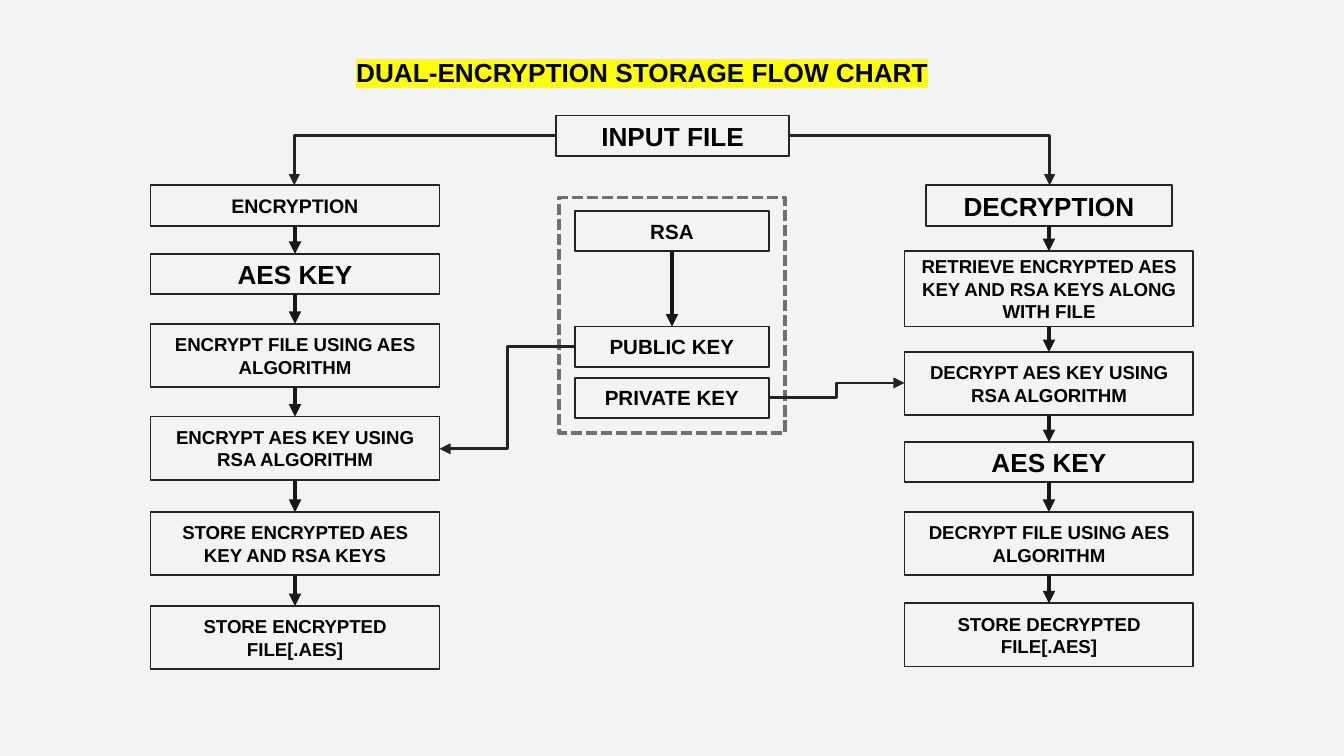
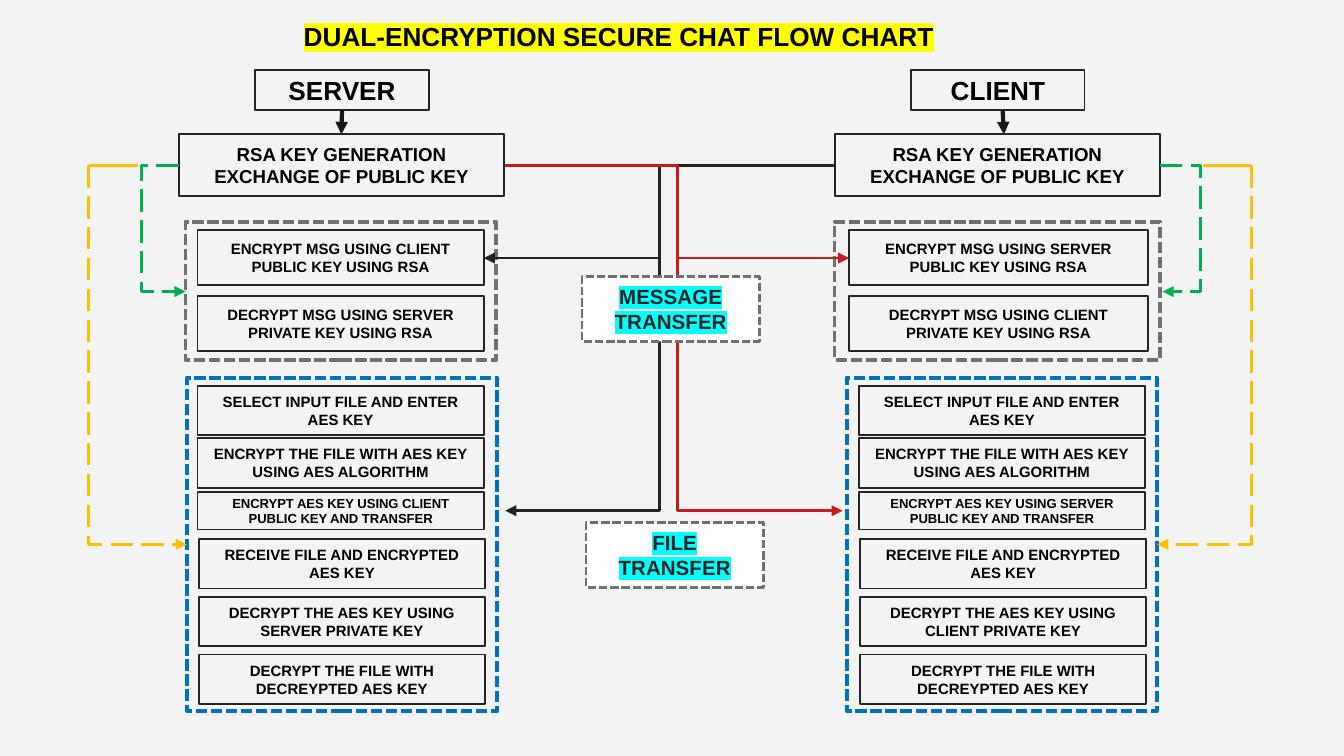
"""Build two flow charts on dual encryption: file storage and secure chat."""
from dataclasses import dataclass
from typing import Optional

from lxml import etree
from pptx import Presentation
from pptx import util as u
from pptx.dml.color import RGBColor
from pptx.enum import dml, shapes, text
from pptx.oxml.ns import qn

FONT = "Arial"
PAPER = RGBColor(0xF3, 0xF3, 0xF3)
WHITE = RGBColor(0xFF, 0xFF, 0xFF)
BLACK = RGBColor(0x00, 0x00, 0x00)
EDGE = RGBColor(0x24, 0x24, 0x24)
ARROW = RGBColor(0x18, 0x18, 0x18)
INK = RGBColor(0x23, 0x23, 0x23)
GREY = RGBColor(0x70, 0x70, 0x70)
BLUE = RGBColor(0x00, 0x70, 0xC0)
RED = RGBColor(0xC5, 0x1D, 0x1D)
GREEN = RGBColor(0x00, 0xB0, 0x50)
GOLD = RGBColor(0xFF, 0xC0, 0x00)
YELLOW = RGBColor(0xFF, 0xFF, 0x00)
CYAN = RGBColor(0x00, 0xFF, 0xFF)
DOTS = dml.MSO_LINE.SQUARE_DOT
LONG = dml.MSO_LINE.LONG_DASH
TOP, LEFT, BASE, RIGHT = range(4)


@dataclass
class Box:
    """A solid box with centred bold text."""
    label: str
    left: float
    top: float
    width: float
    height: float = 0.3
    size: float = 14


@dataclass
class Frame:
    """A dashed box, which may carry a highlighted label."""
    left: float
    top: float
    width: float
    height: float
    color: RGBColor = GREY
    weight: float = 2
    label: str = ""


@dataclass
class Bend:
    """An elbow arrow; via is the x of its middle leg, corner has one turn."""
    start: tuple[float, float]
    end: tuple[float, float]
    color: RGBColor = INK
    dash: Optional[dml.MSO_LINE] = None
    via: Optional[float] = None
    corner: bool = False
    down: bool = False


def style(para, size: float, color: RGBColor = BLACK) -> None:
    """Set the bold font of a paragraph."""
    font = para.font
    font.name, font.size, font.bold = FONT, u.Pt(size), True
    font.color.rgb = color


def mark(para, words: str, color: RGBColor) -> None:
    """Add a highlighted run to a paragraph."""
    run = para.add_run()
    run.text = words
    light = etree.SubElement(run._r.get_or_add_rPr(), qn("a:highlight"))
    etree.SubElement(light, qn("a:srgbClr"), val=str(color))


def add_rect(slide, item, color: RGBColor, weight: float):
    """Add a plain outlined rectangle at the place of an item."""
    place = (u.Inches(n) for n in (item.left, item.top, item.width, item.height))
    rect = slide.shapes.add_shape(shapes.MSO_SHAPE.RECTANGLE, *place)
    rect.shadow.inherit = False
    rect.fill.background()
    rect.line.color.rgb = color
    rect.line.width = u.Pt(weight)
    body = rect.text_frame
    body.word_wrap = True
    body.vertical_anchor = text.MSO_ANCHOR.MIDDLE
    body.paragraphs[0].alignment = text.PP_ALIGN.CENTER
    return rect


def add_box(slide, box: Box):
    """Draw one step of a chart."""
    rect = add_rect(slide, box, EDGE, 1)
    body = rect.text_frame
    body.margin_left = body.margin_right = u.Inches(0.1)
    body.margin_top = body.margin_bottom = u.Inches(0.1)
    para = body.paragraphs[0]
    para.text = box.label
    style(para, box.size)
    return rect


def add_frame(slide, frame: Frame):
    """Draw a dashed frame."""
    rect = add_rect(slide, frame, frame.color, frame.weight)
    rect.line.dash_style = DOTS
    if frame.label:
        rect.fill.solid()
        rect.fill.fore_color.rgb = WHITE
        para = rect.text_frame.paragraphs[0]
        style(para, 11, EDGE)
        mark(para, frame.label, CYAN)
    return rect


def dress(wire, color: RGBColor, weight: float, dash=None, head: bool = True) -> None:
    """Set the line of a connector and drop its shadow."""
    wire.line.color.rgb = color
    wire.line.width = u.Pt(weight)
    if dash is not None:
        wire.line.dash_style = dash
    if head:
        etree.SubElement(wire.line._get_or_add_ln(), qn("a:tailEnd"), type="triangle")
    etree.SubElement(wire.element.spPr, qn("a:effectLst"))


def add_wire(slide, *ends: float):
    """Add a straight connector from x, y to x, y."""
    return slide.shapes.add_connector(shapes.MSO_CONNECTOR.STRAIGHT,
                                      *(u.Inches(n) for n in ends))


def add_chain(slide, steps: list) -> None:
    """Join each step to the next one with a short arrow."""
    for above, below in zip(steps, steps[1:]):
        wire = add_wire(slide, 0, 0, 0, 0)
        wire.begin_connect(above, BASE)
        wire.end_connect(below, TOP)
        dress(wire, ARROW, 2.25)


def add_bend(slide, bend: Bend, source=None, target=None) -> None:
    """Draw an elbow arrow, joined to (shape, side) pairs where given."""
    (x1, y1), (x2, y2) = bend.start, bend.end
    ratio = 0.5 if bend.via is None else (bend.via - x1) / (x2 - x1)
    if bend.down:
        ratio = 1
        midx, midy = (x1 + x2) / 2, (y1 + y2) / 2
        halfx, halfy = (x2 - x1) / 2, (y2 - y1) / 2
        x1, y1, x2, y2 = midx - halfy, midy + halfx, midx + halfy, midy - halfx
    wire = slide.shapes.add_connector(shapes.MSO_CONNECTOR.ELBOW, 0, 0, 0, 0)
    if source:
        wire.begin_connect(*source)
    if target:
        wire.end_connect(*target)
    wire.begin_x, wire.begin_y = u.Inches(x1), u.Inches(y1)
    wire.end_x, wire.end_y = u.Inches(x2), u.Inches(y2)
    props = wire.element.spPr
    if bend.down:
        props.find(qn("a:xfrm")).set("rot", "5400000")
    geom = props.find(qn("a:prstGeom"))
    if bend.corner:
        geom.set("prst", "bentConnector2")
    else:
        etree.SubElement(geom.find(qn("a:avLst")), qn("a:gd"),
                         name="adj1", fmla=f"val {round(ratio * 100000)}")
    dress(wire, bend.color, 1.5, bend.dash)


def add_page(deck, words: str, left: float, top: float, width: float):
    """Add a slide with its highlighted title."""
    slide = deck.slides.add_slide(deck.slide_layouts[5])
    title = slide.shapes.title
    title.left, title.top = u.Inches(left), u.Inches(top)
    title.width, title.height = u.Inches(width), u.Inches(0.34)
    body = title.text_frame
    body.word_wrap = True
    body.auto_size = text.MSO_AUTO_SIZE.SHAPE_TO_FIT_TEXT
    body.vertical_anchor = text.MSO_ANCHOR.TOP
    para = body.paragraphs[0]
    para.alignment = text.PP_ALIGN.LEFT
    style(para, 14)
    mark(para, words, YELLOW)
    return slide


def add_store(deck) -> None:
    """Build the storage chart."""
    slide = add_page(deck, "DUAL-ENCRYPTION STORAGE FLOW CHART", 2.55, 0.37, 5.26)
    wide, tall, near, far = 2.15, 0.47, 1.12, 6.73
    start = add_box(slide, Box("INPUT FILE", 4.14, 0.86, 1.73))
    lock = [add_box(slide, box) for box in (
        Box("ENCRYPTION", near, 1.38, wide, size=10.5),
        Box("AES KEY", near, 1.89, wide),
        Box("ENCRYPT FILE USING AES ALGORITHM", near, 2.41, wide, tall, 10),
        Box("ENCRYPT AES KEY USING RSA ALGORITHM", near, 3.1, wide, tall, 10),
        Box("STORE ENCRYPTED AES KEY AND RSA KEYS", near, 3.81, wide, tall, 10),
        Box("STORE ENCRYPTED FILE[.AES]", near, 4.51, wide, tall, 10))]
    open_up = [add_box(slide, box) for box in (
        Box("DECRYPTION", 6.89, 1.38, 1.83),
        Box("RETRIEVE ENCRYPTED AES KEY AND RSA KEYS ALONG WITH FILE",
            far, 1.87, wide, 0.56, 10),
        Box("DECRYPT AES KEY USING RSA ALGORITHM", far, 2.62, wide, tall, 10),
        Box("AES KEY", far, 3.29, wide),
        Box("DECRYPT FILE USING AES ALGORITHM", far, 3.81, wide, tall, 10),
        Box("STORE DECRYPTED FILE[.AES]", far, 4.49, wide, tall, 10))]
    rsa, public, private = [
        add_box(slide, Box(name, 4.28, top, 1.44, size=11))
        for name, top in (("RSA", 1.57), ("PUBLIC KEY", 2.43), ("PRIVATE KEY", 2.81))]
    add_frame(slide, Frame(4.16, 1.47, 1.68, 1.75))
    for steps in (lock, open_up, [rsa, public]):
        add_chain(slide, steps)
    add_bend(slide, Bend((4.14, 1.01), (2.19, 1.38), corner=True),
             (start, LEFT), (lock[0], TOP))
    add_bend(slide, Bend((5.87, 1.01), (7.81, 1.38), corner=True),
             (start, RIGHT), (open_up[0], TOP))
    add_bend(slide, Bend((4.28, 2.58), (3.27, 3.34)), (public, LEFT), (lock[3], RIGHT))
    add_bend(slide, Bend((5.72, 2.96), (6.73, 2.85)),
             (private, RIGHT), (open_up[2], LEFT))


def add_side(slide, own: str, peer: str, head: float, gen: float,
             msg: Box, group: Frame, files: float, pack: Frame) -> tuple:
    """Draw one party; return its name, key, message and frame shapes."""
    name = add_box(slide, Box(own, head, 0.52, 1.29))
    key = add_box(slide, Box("RSA KEY GENERATION\vEXCHANGE OF PUBLIC KEY",
                             gen, 1, 2.42, 0.46, 10))
    first = add_box(slide, msg)
    add_box(slide, Box(f"DECRYPT MSG USING {own} PRIVATE KEY USING RSA",
                       msg.left, 2.2, msg.width, msg.height, msg.size))
    steps = (
        ("SELECT INPUT FILE AND ENTER AES KEY", 0, 2.87, 0.37, 8),
        ("ENCRYPT THE FILE WITH AES KEY USING AES ALGORITHM", 0, 3.26, 0.37, 8),
        (f"ENCRYPT AES KEY USING {peer} PUBLIC KEY AND TRANSFER", 0, 3.66, 0.28, 7),
        ("RECEIVE FILE AND ENCRYPTED AES KEY", 0.01, 4.01, 0.37, 8),
        (f"DECRYPT THE AES KEY USING {own} PRIVATE KEY", 0.01, 4.44, 0.37, 8),
        ("DECRYPT THE FILE WITH DECREYPTED AES KEY", 0.01, 4.87, 0.37, 8))
    for label, shift, top, height, size in steps:
        add_box(slide, Box(label, files + shift, top, 2.13, height, size))
    return name, key, first, add_frame(slide, group), add_frame(slide, pack)


def add_chat(deck) -> None:
    """Build the secure chat chart."""
    slide = add_page(deck, "DUAL-ENCRYPTION SECURE CHAT FLOW CHART", 2.16, 0.1, 5.75)
    server, key1, msg1, group1, pack1 = add_side(
        slide, "SERVER", "CLIENT", 1.9, 1.33,
        Box("ENCRYPT MSG USING CLIENT PUBLIC KEY USING RSA", 1.47, 1.71, 2.13, 0.41, 8),
        Frame(1.38, 1.65, 2.31, 1.03), 1.47, Frame(1.39, 2.81, 2.31, 2.48, BLUE))
    _, key2, msg2, _, pack2 = add_side(
        slide, "CLIENT", "SERVER", 6.78, 6.21,
        Box("ENCRYPT MSG USING SERVER PUBLIC KEY USING RSA", 6.32, 1.71, 2.22, 0.41, 8),
        Frame(6.21, 1.65, 2.42, 1.03), 6.39, Frame(6.3, 2.81, 2.31, 2.48, BLUE))
    add_chain(slide, [server, key1])
    dress(add_wire(slide, 7.46, 0.82, 7.47, 1), ARROW, 2.25)
    add_bend(slide, Bend((6.21, 1.23), (3.6, 1.92)), (key2, LEFT), (msg1, RIGHT))
    add_bend(slide, Bend((3.76, 1.23), (6.32, 1.92), RED), (key1, RIGHT), (msg2, LEFT))
    add_bend(slide, Bend((5.04, 1.92), (6.27, 3.8), RED, down=True))
    add_bend(slide, Bend((4.91, 1.92), (3.76, 3.8), down=True))
    add_bend(slide, Bend((1.33, 1.23), (1.38, 2.17), GREEN, LONG, 1.05),
             (key1, LEFT), (group1, LEFT))
    add_bend(slide, Bend((8.63, 1.23), (8.65, 2.17), GREEN, LONG, 8.93), (key2, RIGHT))
    for x, inner, edge, pack, side in ((0.66, 1.03, 1.39, pack1, LEFT),
                                       (9.31, 8.95, 8.61, pack2, RIGHT)):
        add_bend(slide, Bend((x, 1.23), (edge, 4.05), GOLD, LONG, corner=True, down=True),
                 target=(pack, side))
        dress(add_wire(slide, x, 1.23, inner, 1.23), GOLD, 1.5, head=False)
    add_frame(slide, Frame(4.33, 2.06, 1.32, 0.48, weight=1.5, label="MESSAGE TRANSFER"))
    add_frame(slide, Frame(4.36, 3.89, 1.32, 0.48, weight=1.5, label="FILE TRANSFER"))


def main() -> None:
    """Build and save the deck."""
    deck = Presentation()
    deck.slide_width = u.Inches(10)
    deck.slide_height = deck.slide_width * 9 // 16
    back = deck.slide_master.background.fill
    back.solid()
    back.fore_color.rgb = PAPER
    add_store(deck)
    add_chat(deck)
    deck.save("out.pptx")


if __name__ == "__main__":
    main()
